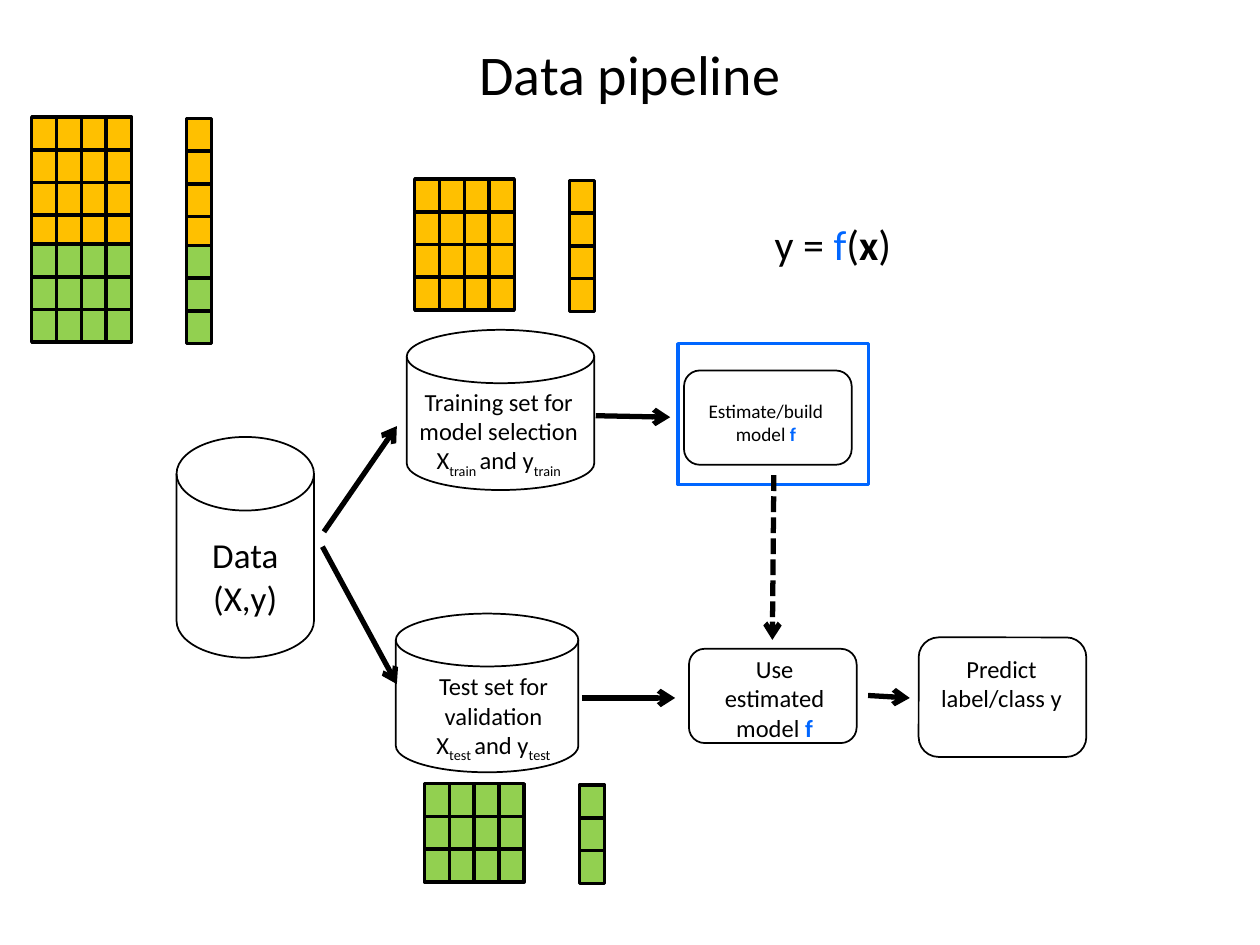
from dataclasses import dataclass

from lxml.etree import SubElement
from pptx import Presentation
from pptx.dml.color import RGBColor
from pptx.enum.dml import MSO_LINE
from pptx.enum.shapes import MSO_CONNECTOR, MSO_SHAPE
from pptx.enum.text import MSO_ANCHOR, MSO_AUTO_SIZE, PP_ALIGN
from pptx.oxml.ns import qn
from pptx.util import Cm, Pt


@dataclass(frozen=True)
class Theme:
    font: str = "Calibri"
    ink: str = "000000"
    accent: str = "0066FF"
    train: str = "FFC000"
    test: str = "92D050"
    title: int = 32
    formula: int = 24
    data: int = 20
    body: int = 14
    small: int = 11


class PipelineSlide:
    """Holds the theme and the current slide; draws each kind of element."""

    CELL_WIDTH, CELL_HEIGHT = 0.51, 0.66
    COLUMN_STEP = 0.5
    LABEL_OFFSET_X, LABEL_OFFSET_Y = 3.12, 0.03

    def __init__(self, slide, theme):
        self.slide = slide
        self.theme = theme

    def fill_text(self, frame, size, paragraphs):
        """Each paragraph is a list of (text, style words) runs."""
        frame.word_wrap = True
        frame.vertical_anchor = MSO_ANCHOR.TOP
        for index, runs in enumerate(paragraphs):
            para = frame.paragraphs[0] if index == 0 else frame.add_paragraph()
            para.alignment = PP_ALIGN.CENTER
            for text, style in runs:
                span = para.add_run()
                span.text = text
                font = span.font
                font.name, font.size = self.theme.font, Pt(size)
                font.bold = "bold" in style
                color = self.theme.accent if "accent" in style else self.theme.ink
                font.color.rgb = RGBColor.from_string(color)
                if "sub" in style:
                    span._r.get_or_add_rPr().set("baseline", "-25000")

    def title(self, text, left, top, width, height):
        holder = self.slide.shapes.title
        holder.left, holder.top = Cm(left), Cm(top)
        holder.width, holder.height = Cm(width), Cm(height)
        holder.text_frame.auto_size = MSO_AUTO_SIZE.NONE
        self.fill_text(holder.text_frame, self.theme.title, [[(text, "")]])

    def text(self, left, top, width, height, size, *paragraphs):
        box = self.slide.shapes.add_textbox(Cm(left), Cm(top), Cm(width), Cm(height))
        self.fill_text(box.text_frame, size, paragraphs)

    def shape(self, kind, left, top, width, height, fill=None, line=None, weight=1):
        box = self.slide.shapes.add_shape(kind, Cm(left), Cm(top), Cm(width), Cm(height))
        box.shadow.inherit = False
        if fill:
            box.fill.solid()
            box.fill.fore_color.rgb = RGBColor.from_string(fill)
        else:
            box.fill.background()
        box.line.color.rgb = RGBColor.from_string(line or self.theme.ink)
        box.line.width = Pt(weight)

    def arrow(self, start, end, dashed=False):
        points = [Cm(value) for value in (*start, *end)]
        link = self.slide.shapes.add_connector(MSO_CONNECTOR.STRAIGHT, *points)
        link.line.color.rgb = RGBColor.from_string(self.theme.ink)
        link.line.width = Pt(3)
        if dashed:
            link.line.dash_style = MSO_LINE.SQUARE_DOT
        SubElement(link.line._get_or_add_ln(), qn("a:tailEnd"), type="arrow")
        SubElement(link._element.spPr, qn("a:effectLst"))

    def grid(self, left, top, rows, columns, fill):
        for column in range(columns):
            for row in range(rows):
                self.shape(MSO_SHAPE.RECTANGLE,
                           left + column * self.COLUMN_STEP,
                           top + row * self.CELL_HEIGHT,
                           self.CELL_WIDTH, self.CELL_HEIGHT, fill, weight=2)

    def samples(self, left, top, rows, fill):
        """Feature matrix X with its label column y."""
        self.grid(left, top, rows, 4, fill)
        self.grid(left + self.LABEL_OFFSET_X, top + self.LABEL_OFFSET_Y, rows, 1, fill)


def set_names(subset):
    return [("X", ""), (f"{subset} ", "sub"), ("and y", ""), (subset, "sub")]


def main():
    deck = Presentation()
    deck.slide_width, deck.slide_height = Cm(25.4), Cm(19.05)
    theme = Theme()
    page = PipelineSlide(deck.slides.add_slide(deck.slide_layouts[5]), theme)

    # Title and formula
    page.title("Data pipeline", 1.27, 0.66, 22.86, 2.39)
    page.text(15.09, 4.29, 3.4, 1.27, theme.formula,
              [("y = ", ""), ("f", "accent"), ("(", ""), ("x", "bold"), (")", "")])

    # Frame around the model building step
    page.shape(MSO_SHAPE.RECTANGLE, 13.67, 6.93, 3.84, 2.84,
               line=theme.accent, weight=2)

    # Data stores
    for store in ((3.56, 8.81, 2.77, 4.45),
                  (8.2, 6.65, 3.78, 3.23),
                  (7.98, 12.37, 3.68, 3.2)):
        page.shape(MSO_SHAPE.FLOWCHART_MAGNETIC_DISK, *store)

    # Process steps
    for step in ((13.79, 7.47, 3.38, 1.9),
                 (13.89, 13.08, 3.38, 1.9),
                 (18.52, 12.85, 3.38, 2.41)):
        page.shape(MSO_SHAPE.FLOWCHART_ALTERNATE_PROCESS, *step)

    # Store labels
    page.text(3.66, 10.64, 2.57, 1.96, theme.data, [("Data (X,y)", "")])
    page.text(8.05, 7.67, 4.01, 2.06, theme.body,
              [("Training set for model selection", "")], set_names("train"))
    page.text(8.31, 13.41, 3.28, 2.06, theme.body,
              [("Test set for validation", "")], set_names("test"))

    # Step labels
    model = ("f", "accent bold")
    page.text(13.89, 7.92, 3.1, 1.19, theme.small, [("Estimate/build model ", ""), model])
    page.text(14.22, 13.06, 2.79, 2.06, theme.body, [("Use estimated model ", ""), model])
    page.text(18.64, 13.06, 3.1, 2.06, theme.body, [("Predict label/class y", "")])

    # Flow
    for start, end in (((6.53, 10.72), (8, 8.59)),
                       ((6.5, 11.02), (8, 13.79)),
                       ((12.01, 8.38), (13.51, 8.41)),
                       ((11.73, 14.07), (13.61, 14.07)),
                       ((17.5, 14.02), (18.34, 14.07))):
        page.arrow(start, end)
    page.arrow((15.6, 9.58), (15.57, 12.9), dashed=True)

    # Sample grids: all data, training part, test part
    page.samples(0.64, 2.36, 4, theme.train)
    page.samples(0.64, 4.92, 3, theme.test)
    page.samples(8.36, 3.61, 4, theme.train)
    page.samples(8.56, 15.8, 3, theme.test)

    deck.save("out.pptx")


if __name__ == "__main__":
    main()
